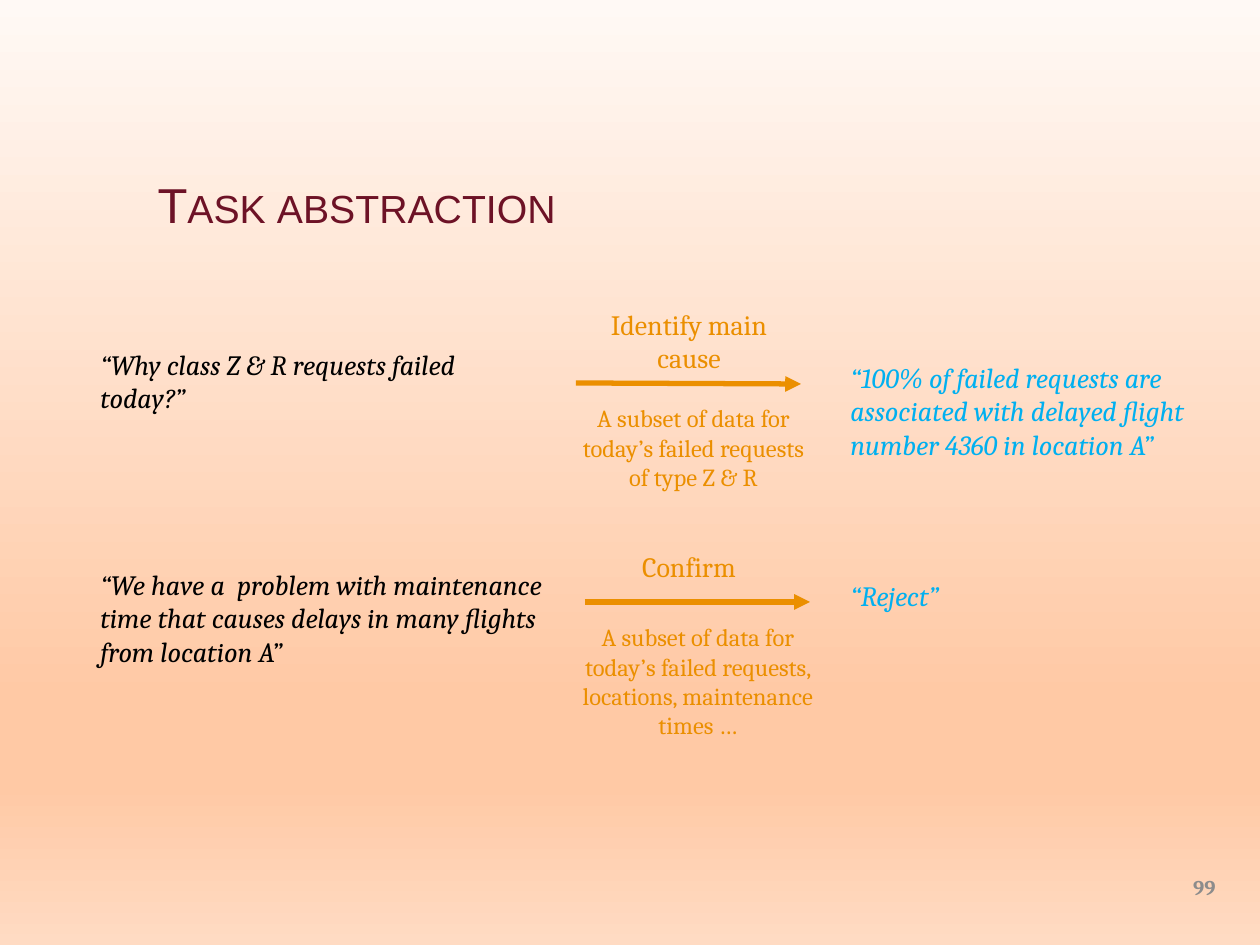
from lxml.etree import SubElement
from pptx import Presentation
from pptx.dml.color import RGBColor
from pptx.enum.shapes import MSO_CONNECTOR
from pptx.enum.text import MSO_ANCHOR, MSO_AUTO_SIZE, PP_ALIGN
from pptx.oxml.ns import qn
from pptx.util import Inches, Pt

PX = Inches(10) / 1260
BLACK = RGBColor(0x00, 0x00, 0x00)
MAROON = RGBColor(0x6D, 0x12, 0x26)
AMBER = RGBColor(0xEB, 0x8F, 0x00)
SKY = RGBColor(0x00, 0xB0, 0xF0)
GRAY = RGBColor(0x8C, 0x8C, 0x8C)
PEACH = RGBColor(0xFF, 0xC9, 0xA5)
BACKDROP = [(0, RGBColor(0xFF, 0xF9, 0xF5)), (74, PEACH), (83, PEACH),
            (100, RGBColor(0xFF, 0xDB, 0xC3))]

TASKS = [
    dict(question=("“Why class Z & R requests failed today?”", (88, 341, 470, 81)),
         action=("Identify main cause", (585, 301, 208, 81)),
         data=("A subset of data for today’s failed requests of type Z & R",
               (558, 397, 271, 102)),
         answer=("“100% of failed requests are associated with delayed flight "
                 "number 4360 in location A”", (838, 354, 381, 115)),
         arrow=(576, 383, 801, 384)),
    dict(question=("“We have a  problem with maintenance time that causes delays "
                   "in many flights from location A”", (88, 561, 470, 115)),
         action=("Confirm", (585, 543, 208, 47)),
         data=("A subset of data for today’s failed requests, locations, "
               "maintenance times …", (567, 616, 262, 131)),
         answer=("“Reject”", (838, 572, 381, 47)),
         arrow=(585, 602, 810, 602)),
]


def emu(lengths):
    return [round(length * PX) for length in lengths]


def write(frame, text, size=16, color=BLACK, font="Cambria", align=PP_ALIGN.LEFT,
          anchor=MSO_ANCHOR.TOP, bold=False, italic=False, small_caps=False):
    frame.word_wrap = True
    frame.auto_size = MSO_AUTO_SIZE.NONE
    frame.vertical_anchor = anchor
    paragraph = frame.paragraphs[0]
    paragraph.alignment = align
    run = paragraph.add_run()
    run.text = text
    run.font.name = font
    run.font.size = Pt(size)
    run.font.bold = bold
    run.font.italic = italic
    run.font.color.rgb = color
    if small_caps:
        run.font._element.set("cap", "small")


class Deck:
    def __init__(self):
        self.presentation = Presentation()
        self.presentation.slide_width = Inches(10)
        self.presentation.slide_height = Inches(7.5)
        self.slide = self.presentation.slides.add_slide(
            self.presentation.slide_layouts[5])

    def background(self, stops):
        fill = self.slide.background.fill
        fill.gradient()
        fill.gradient_angle = 270
        stop_list = next(self.slide.element.iter(qn("a:gsLst")))
        for old_stop in list(stop_list):
            stop_list.remove(old_stop)
        for percent, color in stops:
            stop = SubElement(stop_list, qn("a:gs"), pos=str(percent * 1000))
            SubElement(stop, qn("a:srgbClr"), val=str(color))

    def title(self, text, box):
        heading = self.slide.shapes.title
        heading.left, heading.top, heading.width, heading.height = emu(box)
        write(heading.text_frame, text, size=28, color=MAROON, font="Arial",
              anchor=MSO_ANCHOR.BOTTOM, small_caps=True)

    def text(self, shapes, text, box, **style):
        write(shapes.add_textbox(*emu(box)).text_frame, text, **style)

    def arrow(self, shapes, ends):
        connector = shapes.add_connector(MSO_CONNECTOR.STRAIGHT, *emu(ends))
        connector.line.color.rgb = AMBER
        connector.line.width = Pt(3)
        SubElement(connector.line._get_or_add_ln(), qn("a:tailEnd"), type="triangle")
        SubElement(connector._element.spPr, qn("a:effectLst"))

    def task(self, question, action, data, answer, arrow):
        shapes = self.slide.shapes.add_group_shape().shapes
        self.text(shapes, *question, italic=True)
        self.arrow(shapes, arrow)
        self.text(shapes, *action, color=AMBER, align=PP_ALIGN.CENTER)
        self.text(shapes, *data, size=14, color=AMBER, align=PP_ALIGN.CENTER)
        self.text(shapes, *answer, color=SKY, italic=True)


def main():
    deck = Deck()
    deck.background(BACKDROP)
    deck.text(deck.slide.shapes, "99", (934, 862, 294, 50), size=12, color=GRAY,
              align=PP_ALIGN.RIGHT, anchor=MSO_ANCHOR.MIDDLE, bold=True)
    deck.title("Task abstraction", (145, 103, 997, 137))
    for task in TASKS:
        deck.task(**task)
    deck.presentation.save("out.pptx")


if __name__ == "__main__":
    main()
